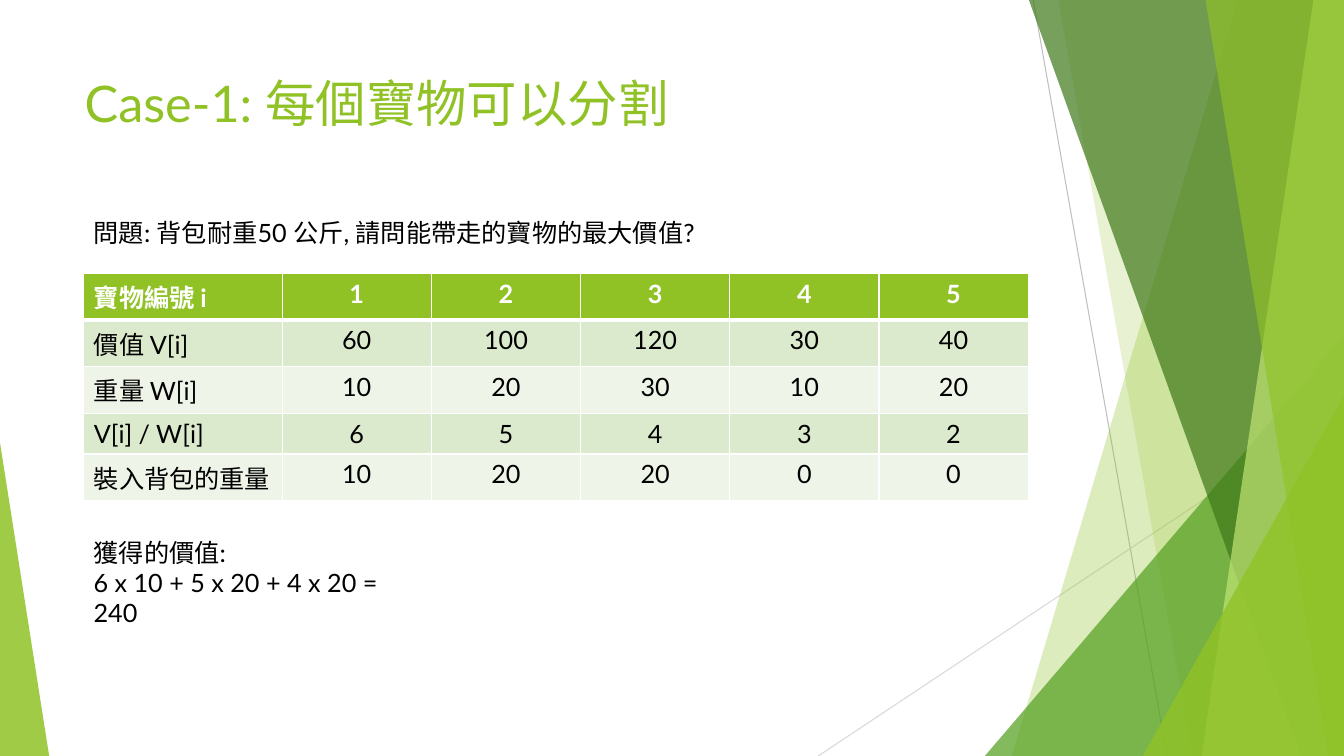
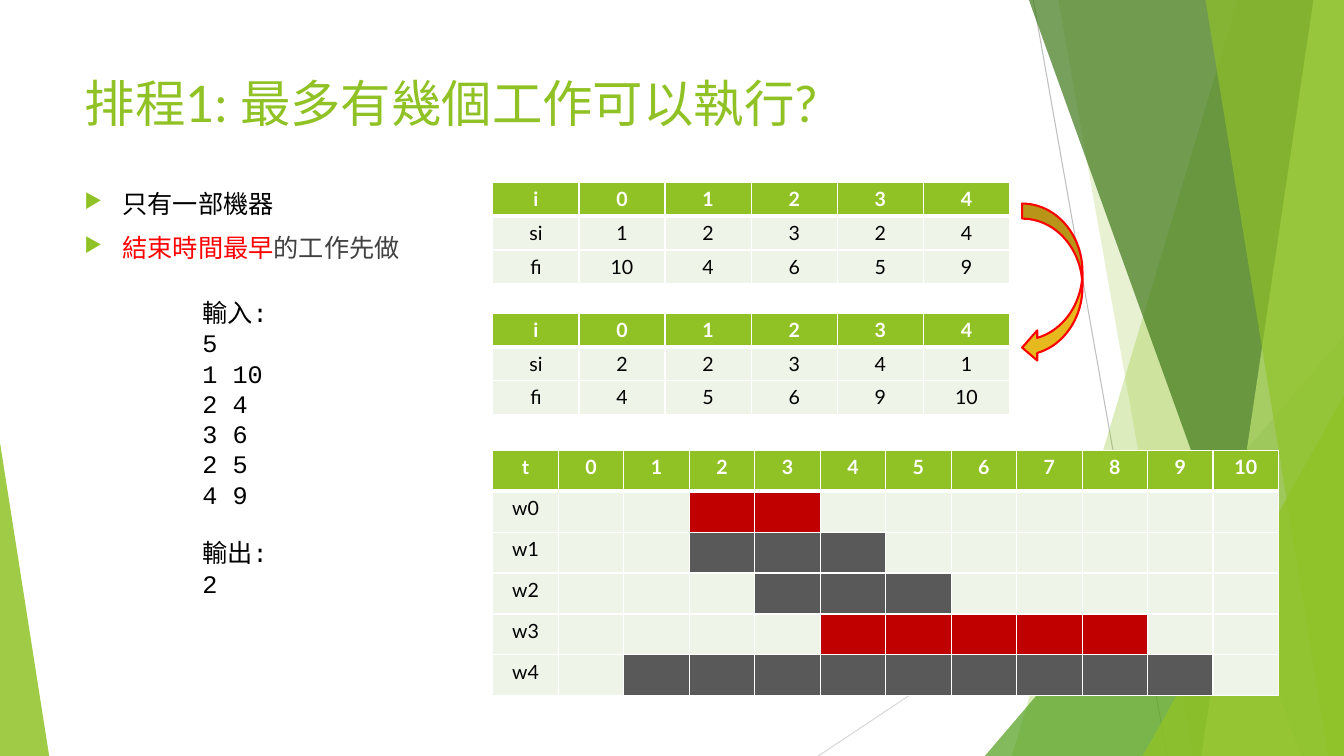
from lxml import etree
from pptx import Presentation
from pptx.dml.color import RGBColor
from pptx.enum.shapes import MSO_CONNECTOR, MSO_SHAPE
from pptx.enum.text import MSO_ANCHOR, MSO_AUTO_SIZE, PP_ALIGN
from pptx.oxml.ns import qn
from pptx.util import Cm, Pt

LEFT, CENTER = PP_ALIGN.LEFT, PP_ALIGN.CENTER
TOP = MSO_ANCHOR.TOP
FIXED = MSO_AUTO_SIZE.NONE
STRAIGHT = MSO_CONNECTOR.STRAIGHT
TRIANGLE, CURVED_ARROW = MSO_SHAPE.ISOSCELES_TRIANGLE, MSO_SHAPE.CURVED_LEFT_ARROW


class Theme:
    font, code_font = "Lato", "Courier New"
    title_size, body_size, small_size = 36, 18, 14
    green, mid_green, dark_green, lime = "90C226", "54A021", "3F7819", "C0E474"
    band, pale = "DBE9CD", "EEF4E8"
    white, black, grey, red = "FFFFFF", "000000", "404040", "FF0000"
    chosen, skipped = "C00000", "595959"
    gold = "E6B91E"
    ray_dark, ray_light = "BFBFBF", "D9D9D9"


# Content
TREASURE_TITLE = "Case-1: 每個寶物可以分割"
QUESTION = "問題: 背包耐重50 公斤, 請問能帶走的寶物的最大價值?"
TREASURES = [
    ["寶物編號 i", 1, 2, 3, 4, 5],
    ["價值 V[i]", 60, 100, 120, 30, 40],
    ["重量 W[i]", 10, 20, 30, 10, 20],
    ["V[i] / W[i]", 6, 5, 4, 3, 2],
    ["裝入背包的重量", 10, 20, 20, 0, 0],
]
ANSWER = ["獲得的價值:", "6 x 10 + 5 x 20 + 4 x 20 = 240"]

SCHEDULE_TITLE = "排程1: 最多有幾個工作可以執行?"
RULES = [
    [("只有一部機器", Theme.black)],
    [("結束時間最早", Theme.red), ("的工作先做", Theme.grey)],
]
JOBS = [(1, 10), (2, 4), (3, 6), (2, 5), (4, 9)]  # start, finish
LAST_HOUR = 10

# Backdrop, in cm
WIDTH, HEIGHT = 33.87, 19.05
RAYS = [  # x1, y1, x2, y2, colour
    (26.04, 0, 29.41, HEIGHT, Theme.ray_dark),
    (WIDTH, 10.24, 20.62, HEIGHT, Theme.ray_light),
]
FACETS = [  # bands: top x, bottom x; triangles: left, width, height, apex
    ("band", (31.19, 25.5), Theme.green, 30),
    ("band", (26.67, 30.05), Theme.green, 20),
    ("triangle", (24.82, 9.05, 10.59, 1), Theme.mid_green, 72),
    ("band", (25.93, 32.79), Theme.dark_green, 70),
    ("band", (33.1, 30.28), Theme.lime, 70),
    ("band", (30.38, 33.48), Theme.green, 65),
    ("triangle", (28.8, 5.07, 9.07, 1), Theme.green, 80),
    ("triangle", (0, 1.24, 7.9, 0), Theme.green, 85),
]


def rgb(value):
    return RGBColor.from_string(value)


def add_xml(parent, tag, **attributes):
    return etree.SubElement(parent, qn(tag), attributes)


def add_run(p, text, size, color, font=Theme.font, bold=False):
    r = p.add_run()
    r.text = str(text)
    look = {"size": Pt(size), "name": font, "bold": bold}
    for name, value in look.items():
        setattr(r.font, name, value)
    r.font.color.rgb = rgb(color)


def fill_shape(sp, color, opacity=100):
    sp.shadow.inherit = False
    sp.fill.solid()
    sp.fill.fore_color.rgb = rgb(color)
    sp.line.fill.background()
    if opacity < 100:
        clr = sp.fill._xPr.find(".//" + qn("a:srgbClr"))
        add_xml(clr, "a:alpha", val=str(opacity * 1000))


def add_band(s, top_x, bottom_x):
    outline = [(top_x, 0), (WIDTH, 0), (WIDTH, HEIGHT), (bottom_x, HEIGHT)]
    points = [(Cm(x), Cm(y)) for x, y in outline]
    builder = s.shapes.build_freeform(*points[0])
    builder.add_line_segments(points[1:], close=True)
    return builder.convert_to_shape()


def add_triangle(s, left, width, height, apex):
    sp = s.shapes.add_shape(TRIANGLE, Cm(left), Cm(HEIGHT - height),
                            Cm(width), Cm(height))
    sp.adjustments[0] = apex
    return sp


def add_backdrop(s, layout):
    """Draw the rays and facets, then hand them to the shared layout."""
    shapes = []
    for *ends, color in RAYS:
        ray = s.shapes.add_connector(STRAIGHT, *map(Cm, ends))
        ray.line.color.rgb = rgb(color)
        ray.line.width = Pt(0.75)
        add_xml(ray._element.spPr, "a:effectLst")
        shapes.append(ray)
    draw = {"band": add_band, "triangle": add_triangle}
    for kind, geometry, color, opacity in FACETS:
        sp = draw[kind](s, *geometry)
        fill_shape(sp, color, opacity)
        shapes.append(sp)
    for i, sp in enumerate(shapes):
        sp._element.xpath(".//p:cNvPr")[0].set("id", str(100 + i))
        layout.shapes._spTree.insert(2 + i, sp._element)


def add_slide(prs, layout, title):
    s = prs.slides.add_slide(layout)
    tf = s.shapes.title.text_frame
    frame = {"vertical_anchor": TOP, "auto_size": FIXED, "word_wrap": True}
    for name, value in frame.items():
        setattr(tf, name, value)
    p = tf.paragraphs[0]
    p.alignment = LEFT
    add_run(p, title, Theme.title_size, Theme.green)
    return s


def add_text(s, box, paragraphs, font=Theme.font, bullets=False, gaps=None):
    """paragraphs: lists of (text, colour); gaps: space before, by index."""
    tf = s.shapes.add_textbox(*map(Cm, box)).text_frame
    tf.word_wrap = True
    for i, runs in enumerate(paragraphs):
        p = tf.paragraphs[0] if i == 0 else tf.add_paragraph()
        if gaps and i in gaps:
            p.space_before = Pt(gaps[i])
        if bullets:
            add_bullet(p)
        for text, color in runs:
            add_run(p, text, Theme.body_size, color, font)


def add_bullet(p):
    pPr = p._p.get_or_add_pPr()
    pPr.set("marL", str(Cm(0.96)))
    pPr.set("indent", str(-Cm(0.96)))
    add_xml(add_xml(pPr, "a:buClr"), "a:srgbClr", val=Theme.green)
    add_xml(pPr, "a:buSzPct", val="80000")
    add_xml(pPr, "a:buChar", char="▶")


def plain(lines):
    return [[(line, Theme.black)] for line in lines]


def add_borders(cell, header):
    tcPr = cell._tc.get_or_add_tcPr()
    for side in "LRTB":
        width = Pt(3) if header and side == "B" else Pt(1)
        ln = add_xml(tcPr, "a:ln" + side, w=str(width))
        add_xml(add_xml(ln, "a:solidFill"), "a:srgbClr", val=Theme.white)


def add_grid(s, left, top, widths, row_height, rows, size,
             stripes=(Theme.pale,), label_align=CENTER, marks=None):
    """marks: fill colours of single cells, by (row, column)."""
    table = s.shapes.add_table(
        len(rows), len(widths), Cm(left), Cm(top),
        Cm(sum(widths)), Cm(row_height * len(rows))).table
    table.horz_banding = False
    for column, width in zip(table.columns, widths):
        column.width = Cm(width)
    for i, row in enumerate(rows):
        table.rows[i].height = Cm(row_height)
        header = i == 0
        base = Theme.green if header else stripes[(i - 1) % len(stripes)]
        for j, value in enumerate(row):
            cell = table.cell(i, j)
            add_borders(cell, header)
            cell.fill.solid()
            cell.fill.fore_color.rgb = rgb((marks or {}).get((i, j), base))
            if value != "":
                p = cell.text_frame.paragraphs[0]
                p.alignment = CENTER if j else label_align
                add_run(p, value, size, Theme.white if header else Theme.black,
                        bold=header)


def pick_jobs(jobs):
    """Indexes of the jobs that run, taking the earliest finish first."""
    picked, free_at = [], 0
    for i, (start, finish) in enumerate(jobs):
        if start >= free_at:
            picked.append(i)
            free_at = finish
    return picked


def job_rows(jobs):
    starts, finishes = zip(*jobs)
    return [["i", *range(len(jobs))], ["si", *starts], ["fi", *finishes]]


def build_treasure_slide(prs, layout):
    s = add_slide(prs, layout, TREASURE_TITLE)
    add_grid(s, 2.11, 6.89, [5] + [3.76] * 5, 1.03, TREASURES, Theme.body_size,
             stripes=(Theme.band, Theme.pale), label_align=LEFT)
    add_text(s, (2.11, 5.36, 15.93, 1.02), plain([QUESTION]))
    add_text(s, (2.11, 13.41, 8.6, 1.8), plain(ANSWER))
    return s


def build_schedule_slide(prs, layout):
    s = add_slide(prs, layout, SCHEDULE_TITLE)
    by_finish = sorted(JOBS, key=lambda job: job[1])
    picked = pick_jobs(by_finish)

    # Rules, sample input and output
    add_text(s, (1.88, 4.62, 10, 2.5), RULES, bullets=True, gaps={1: 10})
    sample = ["輸入:", len(JOBS), *(f"{a} {b}" for a, b in JOBS)]
    add_text(s, (4.85, 7.37, 3, 7.95), plain(sample + ["輸出:", len(picked)]),
             font=Theme.code_font, gaps={len(sample): 20.4})

    # Jobs as given, then sorted by finish time
    left = 12.42
    for top, jobs in ((4.6, JOBS), (7.89, by_finish)):
        add_grid(s, left, top, [2.17] * 6, 0.85, job_rows(jobs), Theme.small_size)

    # Timeline
    hours = range(LAST_HOUR + 1)
    rows = [["t", *hours]]
    marks = {}
    for i, (start, finish) in enumerate(by_finish):
        rows.append([f"w{i}"] + [""] * len(hours))
        color = Theme.chosen if i in picked else Theme.skipped
        marks.update({(i + 1, t + 1): color for t in range(start, finish)})
    add_grid(s, left, 11.35, [1.65] * len(rows[0]), 1.03, rows,
             Theme.small_size, marks=marks)

    # Arrow from the given order to the sorted one
    arrow = s.shapes.add_shape(CURVED_ARROW, Cm(25.76), Cm(5.13), Cm(1.52), Cm(4.01))
    fill_shape(arrow, Theme.gold)
    arrow.line.color.rgb = rgb(Theme.red)
    arrow.line.width = Pt(1.5)


def main():
    prs = Presentation()
    prs.slide_width, prs.slide_height = Cm(WIDTH), Cm(HEIGHT)
    layout = prs.slide_layouts.get_by_name("Title Only")
    title = layout.placeholders[0]
    place = {"left": 1.88, "top": 1.7, "width": 23.88, "height": 3.66}
    for name, value in place.items():
        setattr(title, name, Cm(value))
    first = build_treasure_slide(prs, layout)
    add_backdrop(first, layout)
    build_schedule_slide(prs, layout)
    prs.save("out.pptx")


if __name__ == "__main__":
    main()
